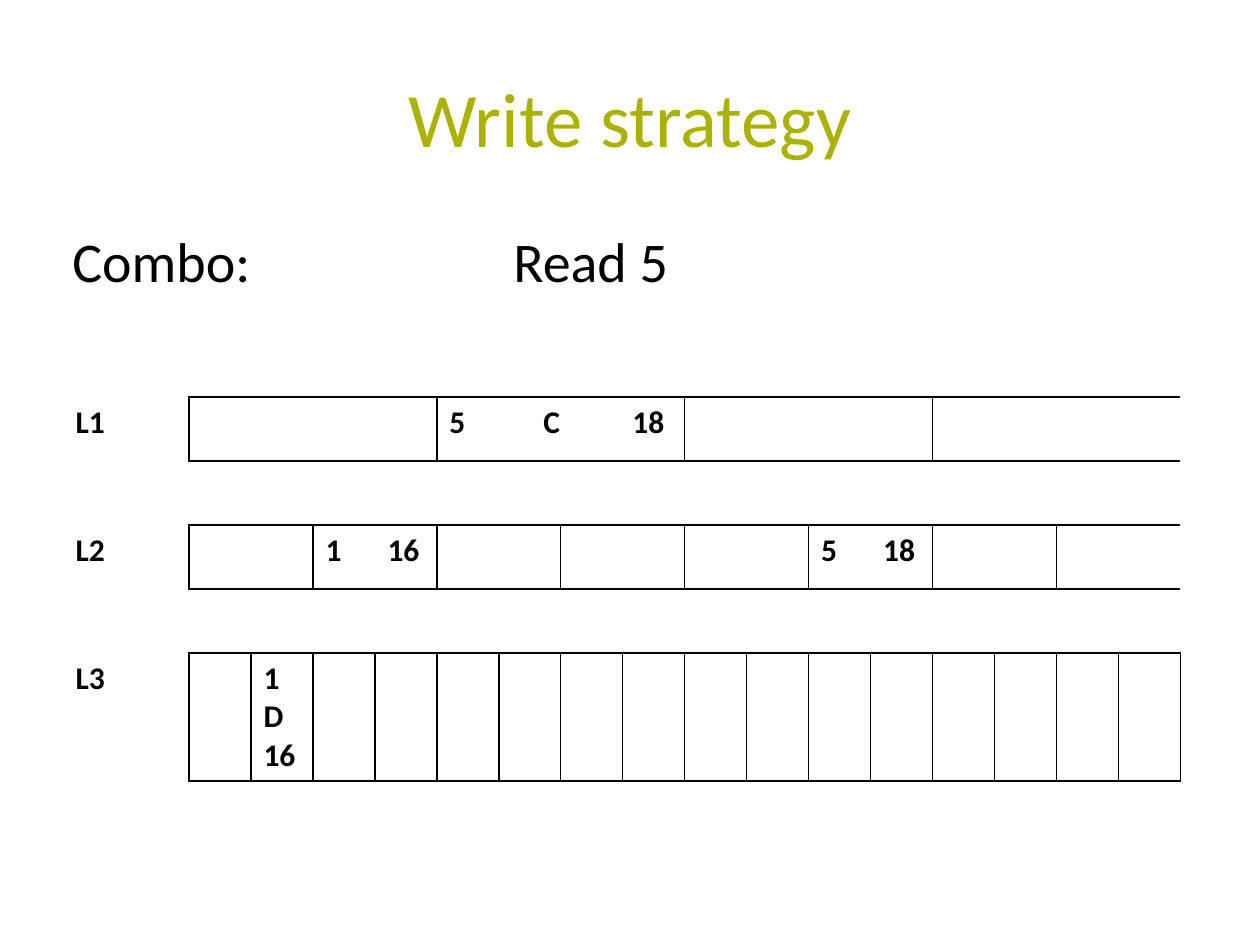
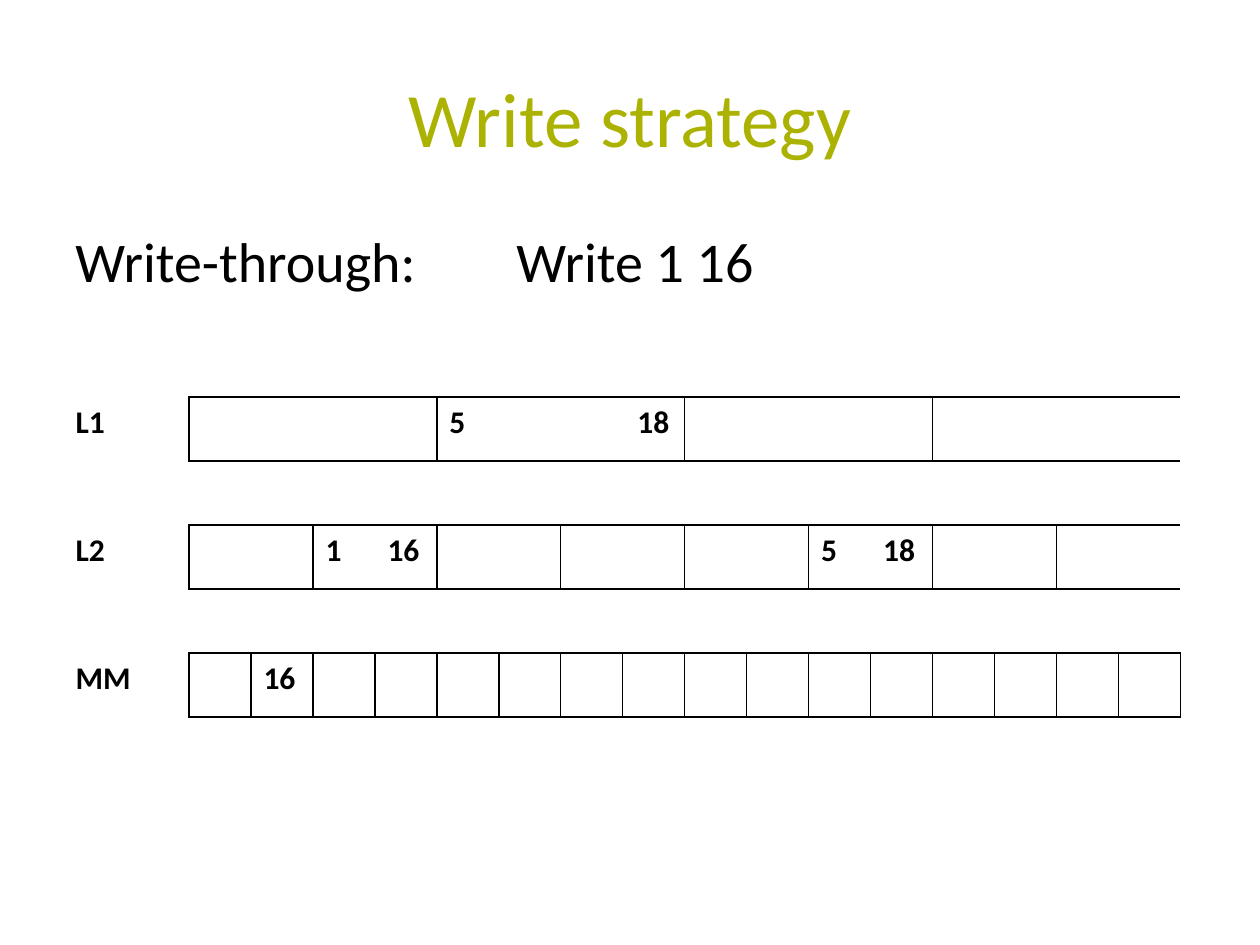
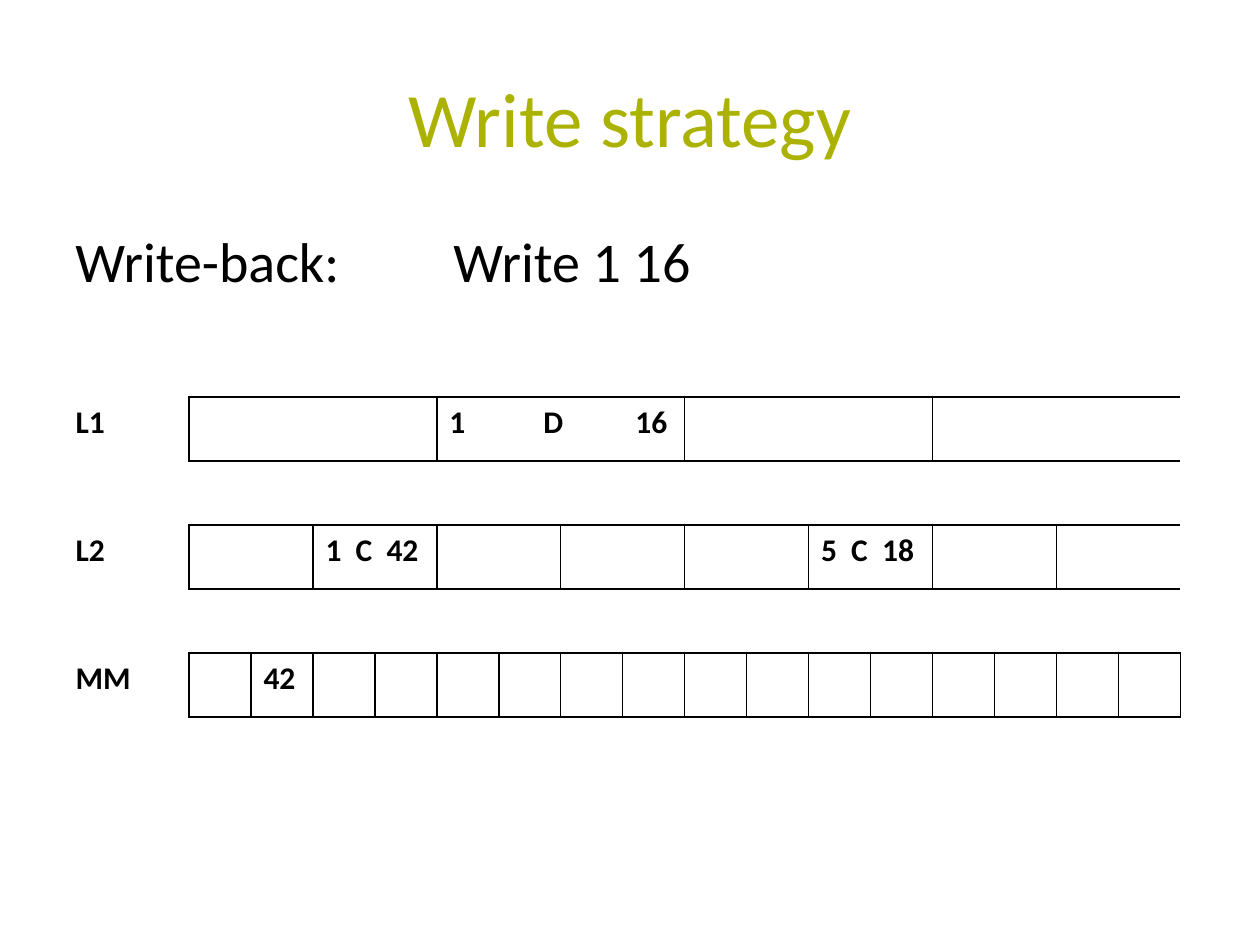
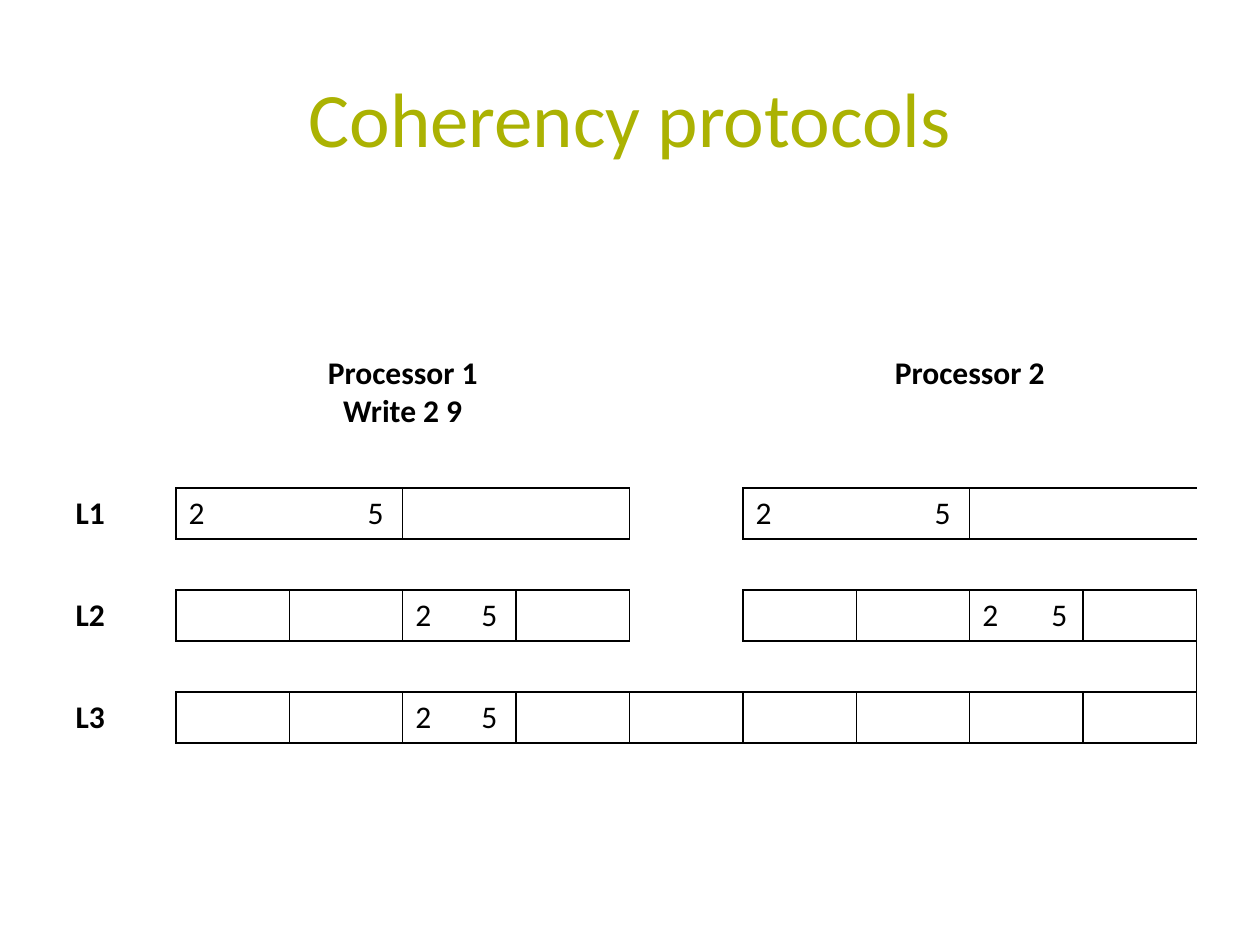
from collections import namedtuple

from lxml import etree
from pptx import Presentation
from pptx.dml.color import RGBColor
from pptx.enum.text import MSO_ANCHOR, PP_ALIGN
from pptx.oxml.ns import qn
from pptx.util import Pt

LEFT, CENTER = PP_ALIGN.LEFT, PP_ALIGN.CENTER
TOP, MIDDLE = MSO_ANCHOR.TOP, MSO_ANCHOR.MIDDLE

EMU_PER_PX = 914400 / 126
BLANK_LAYOUT = 6
NO_TABLE_STYLE = "{2D5ABB26-0587-4C30-8999-92F81FD0307C}"
COLORS = {"title": "ABB202", "text": "000000", "border": "000000", "cell": "FFFFFF"}
FONT = "Calibri"
FORMATS = {
    "title": {"size": Pt(44), "bold": False},
    "operation": {"size": Pt(32), "bold": False},
    "label": {"size": Pt(18), "bold": True},
    "value": {"size": Pt(18), "bold": False},
}

# A row of cache blocks: texts maps a column to (text, tab stops in px);
# the gap column is left out of the blocks.
Row = namedtuple("Row", "height span label texts boxed gap style align",
                 defaults=("", {}, False, None, "label", LEFT))


def px(length):
    return round(length * EMU_PER_PX)


class Deck:
    def __init__(self, width, height):
        self.prs = Presentation()
        self.prs.slide_width, self.prs.slide_height = px(width), px(height)
        self.slide = None

    def new_slide(self, title):
        layout = self.prs.slide_layouts[BLANK_LAYOUT]
        self.slide = self.prs.slides.add_slide(layout)
        self.text_box((63, 38, 1134, 157), title, "title", "title", CENTER, MIDDLE)

    def fill_text(self, frame, text, style, color="text", align=LEFT, stops=()):
        frame.text = text
        for paragraph in frame.paragraphs:
            paragraph.alignment = align
            for run in paragraph.runs:
                run.font.color.rgb = RGBColor.from_string(COLORS[color])
                for name, value in {**FORMATS[style], "name": FONT}.items():
                    setattr(run.font, name, value)
            if stops:
                properties = paragraph._p.get_or_add_pPr()
                tabs = etree.SubElement(properties, qn("a:tabLst"))
                for stop in stops:
                    etree.SubElement(tabs, qn("a:tab"), pos=str(px(stop)), algn="l")

    def text_box(self, box, text, style, color="text", align=LEFT, anchor=TOP, stops=()):
        frame = self.slide.shapes.add_textbox(*map(px, box)).text_frame
        frame.word_wrap = True
        frame.vertical_anchor = anchor
        self.fill_text(frame, text, style, color, align, stops)

    def border(self, cell, side):
        line = etree.SubElement(cell._tc.get_or_add_tcPr(), qn("a:ln" + side),
                                w=str(Pt(1)))
        fill = etree.SubElement(line, qn("a:solidFill"))
        etree.SubElement(fill, qn("a:srgbClr"), val=COLORS["border"])

    def cache_table(self, left, top, width, label_width, blocks, rows, extra_edges=()):
        columns = blocks + 1
        height = sum(row.height for row in rows)
        frame = self.slide.shapes.add_table(
            len(rows), columns, px(left), px(top), px(width), px(height))
        table = frame.table
        table.first_row = table.horz_banding = False
        table._tbl.tblPr.find(qn("a:tableStyleId")).text = NO_TABLE_STYLE
        for index, column in enumerate(table.columns):
            column.width = px((width - label_width) / blocks if index else label_width)

        # Merge blocks, fill in their texts and note which block owns each cell
        owner = {}
        for r, row in enumerate(rows):
            table.rows[r].height = px(row.height)
            self.fill_text(table.cell(r, 0).text_frame, row.label, "label")
            c = 1
            while c < columns:
                span = 1 if c == row.gap else row.span
                if span > 1:
                    table.cell(r, c).merge(table.cell(r, c + span - 1))
                if row.boxed and c != row.gap:
                    owner.update({(r, k): (r, c) for k in range(c, c + span)})
                text, *stops = row.texts.get(c, ("",))
                self.fill_text(table.cell(r, c).text_frame, text, row.style,
                               align=row.align, stops=stops)
                c += span

        # An edge is drawn wherever the owner changes
        for r in range(len(rows)):
            for c in range(columns):
                cell = table.cell(r, c)
                neighbours = {"L": (r, c - 1), "R": (r, c + 1),
                              "T": (r - 1, c), "B": (r + 1, c)}
                for side, neighbour in neighbours.items():
                    changes = owner.get((r, c)) != owner.get(neighbour)
                    if changes or (r, c, side) in extra_edges:
                        self.border(cell, side)
                cell.fill.solid()
                cell.fill.fore_color.rgb = RGBColor.from_string(COLORS["cell"])


def strategy_slide(deck, operation, left, stop, l1, l2, memory, memory_height=64):
    """One slide with two cache levels and a last level of 16 blocks."""
    deck.new_slide("Write strategy")
    spacer = Row(64, 2)
    deck.cache_table(63, 397, 1118, 126, 16, [
        Row(64, 4, "L1", {5: l1}, True),
        spacer,
        Row(64, 2, "L2", dict(zip((3, 11), l2)), True),
        spacer,
        Row(memory_height, 1, memory[0], {2: memory[1:]}, True),
    ])
    deck.text_box((left, 220, 1134, 81), operation, "operation", stops=(stop,))


def coherency_slide(deck):
    """Two processors with private L1 and L2 above a shared L3."""
    deck.new_slide("Coherency protocols")
    l1_value = ("2\t5", 179)
    l2_value = ("2\t5", 66)
    private = {"boxed": True, "gap": 5, "style": "value"}
    deck.cache_table(63, 348, 1134, 113, 9, [
        Row(89, 4, texts={1: ("Processor 1\nWrite 2 9",), 6: ("Processor 2",)},
            gap=5, align=CENTER),
        Row(51, 2, gap=5),
        Row(51, 2, "L1", {1: l1_value, 6: l1_value}, **private),
        Row(51, 1),
        Row(51, 1, "L2", {3: l2_value, 8: ("2\t5", 69)}, **private),
        Row(51, 1),
        Row(51, 1, "L3", {3: l2_value}, True, style="value"),
    ], extra_edges={(5, 9, "R")})


def main():
    deck = Deck(1260, 945)
    plain_l2 = [("1\t16", 62), ("5\t18", 62)]
    strategy_slide(deck, "Combo:\tRead 5", 60, 441, ("5\tC\t18", 94, 183),
                   plain_l2, ("L3", "1\nD 16"), memory_height=128)
    strategy_slide(deck, "Write-through:\tWrite 1 16", 63, 441, ("5\t18", 188),
                   plain_l2, ("MM", "16"))
    strategy_slide(deck, "Write-back:\tWrite 1 16", 63, 378, ("1\tD\t16", 94, 186),
                   [("1\tC\t42", 30, 61), ("5\tC\t18", 30, 61)], ("MM", "42"))
    coherency_slide(deck)
    deck.prs.save("out.pptx")


if __name__ == "__main__":
    main()
